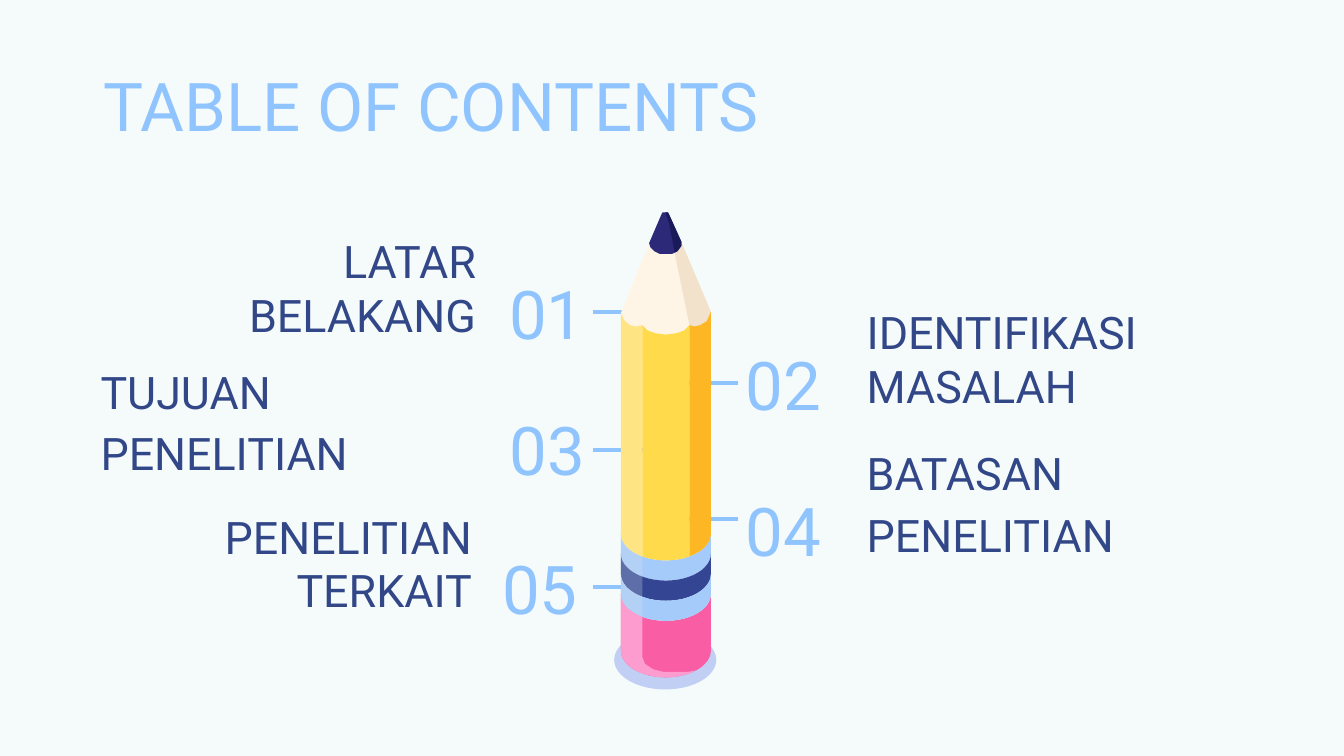
"""Build a table of contents slide with five topics around a pencil."""
import math

import pptx
import pptx.dml.color
import pptx.enum.shapes
import pptx.enum.text
import pptx.oxml
import pptx.oxml.ns
import pptx.util

Inches = pptx.util.Inches
ANCHOR = pptx.enum.text.MSO_ANCHOR
ALIGN = pptx.enum.text.PP_ALIGN
SKY, NAVY = "90C4FE", "324788"
LEFT, RIGHT = 4.62, 5.29
MIDDLE, RADIUS = (LEFT + RIGHT) / 2, (RIGHT - LEFT) / 2
STRIPE_LEFT, STRIPE_RIGHT = 4.78, 5.13
SAG = 0.2
BARREL_END, BAND = 3.97, 0.15
BANDS_END = BARREL_END + 3 * BAND
ERASER_END = 4.84


def paint(target, color):
    target.solid()
    target.fore_color.rgb = pptx.dml.color.RGBColor.from_string(color)


def rim(start, end, side, steps=24):
    first, last = [math.acos(max(-1, min(1, (x - MIDDLE) / RADIUS))) for x in (start, end)]
    angles = [first + (last - first) * step / steps for step in range(steps + 1)]
    return [(MIDDLE + RADIUS * math.cos(a), side + SAG * math.sin(a)) for a in angles]


deck = pptx.Presentation()
deck.slide_width, deck.slide_height = Inches(10), Inches(10) * 9 // 16
page = deck.slides.add_slide(deck.slide_layouts[6])
paint(page.background.fill, "F5FBFB")

heading = {"size": 36, "color": SKY, "align": ALIGN.LEFT, "anchor": ANCHOR.TOP}
number = {**heading, "align": ALIGN.CENTER}
middle_number = {**number, "anchor": ANCHOR.MIDDLE}
topic = {"size": 24, "color": NAVY, "align": ALIGN.LEFT, "anchor": ANCHOR.BOTTOM}
right_topic = {**topic, "align": ALIGN.RIGHT}
spaced_topic = {**topic, "indent": 0.17, "spacing": 1.15}

texts = [
    ("TABLE OF CONTENTS", 0.67, 0.38, 5.21, heading),
    ("LATAR BELAKANG", 0.74, 2.01, 2.9, right_topic),
    ("01", 3.62, 1.93, 0.9, number),
    ("IDENTIFIKASI MASALAH", 6.35, 2.54, 3.44, topic),
    ("TUJUAN PENELITIAN", 0.48, 3.04, 3.24, spaced_topic),
    ("03", 3.5, 2.94, 1.15, number),
    ("BATASAN PENELITIAN", 6.18, 3.65, 3.61, spaced_topic),
    ("PENELITIAN TERKAIT", 0.41, 4.06, 3.2, right_topic),
    ("05 ", 3.56, 4.06, 1.04, middle_number),
    ("02", 5.31, 2.54, 1.04, middle_number),
    ("04", 5.31, 3.63, 1.04, middle_number),
]
for text, left, top, width, style in texts:
    box = page.shapes.add_textbox(Inches(left), Inches(top), Inches(width), Inches(0.63))
    frame = box.text_frame
    frame_format = {"word_wrap": True, "vertical_anchor": style["anchor"]}
    for side in ("left", "right", "top", "bottom"):
        frame_format["margin_" + side] = Inches(0.1)
    for name, value in frame_format.items():
        setattr(frame, name, value)
    para = frame.paragraphs[0]
    para_format = {"alignment": style["align"], "line_spacing": style.get("spacing", 1.0)}
    for name, value in para_format.items():
        setattr(para, name, value)
    if "indent" in style:
        properties = para._p.get_or_add_pPr()
        properties.set("marL", str(Inches(style["indent"])))
        properties.set("indent", "0")
    span = para.add_run()
    span.text = text
    for name, value in {"name": "Roboto", "size": pptx.util.Pt(style["size"])}.items():
        setattr(span.font, name, value)
    paint(span.font.fill, style["color"])

for start, end, height in [(4.41, 5.01, 2.32), (4.41, 5.01, 3.35), (4.41, 5.01, 4.37),
                           (4.9, 5.49, 2.85), (4.9, 5.49, 3.86)]:
    line = page.shapes.add_connector(
        pptx.enum.shapes.MSO_CONNECTOR.STRAIGHT,
        Inches(start), Inches(height), Inches(end), Inches(height))
    line.line.width = pptx.util.Pt(2.25)
    paint(line.line.fill, SKY)
    line._element.spPr.append(pptx.oxml.parse_xml(
        "<a:effectLst %s/>" % pptx.oxml.ns.nsdecls("a")))

pencil = page.shapes.add_group_shape()
base = pencil.shapes.add_shape(pptx.enum.shapes.MSO_SHAPE.OVAL,
                               Inches(4.57), Inches(4.69), Inches(0.76), Inches(0.44))
base.shadow.inherit = False
base.line.fill.background()
paint(base.fill, "C1CFF4")

wood = [(4.83, 1.81), (5.07, 1.81), (RIGHT, 2.32), (RIGHT, 2.61), (5.14, 2.66),
        (MIDDLE, 2.67), (4.77, 2.66), (LEFT, 2.61), (LEFT, 2.33)]
wood_shade = [(4.95, 1.58), (4.98, 1.6), (5.07, 1.8), (RIGHT, 2.32), (RIGHT, 2.47),
              (STRIPE_RIGHT, 2.47), (STRIPE_RIGHT, 2.42), (5.02, 1.88)]
tip = [(4.92, 1.6), (4.93, 1.58), (4.95, 1.58), (4.97, 1.58), (4.98, 1.6),
       (5.07, 1.8), (5.07, 1.83), (5.04, 1.87), (5, 1.89), (4.95, 1.89),
       (4.91, 1.89), (4.87, 1.87), (4.84, 1.84), (4.83, 1.81)]
tip_shade = [(4.95, 1.58), (4.97, 1.58), (4.98, 1.6), (5.07, 1.8), (5.07, 1.83),
             (5.04, 1.87), (5.02, 1.88), (4.98, 1.67)]
left_scallop = [(LEFT, 2.33), (4.65, 2.39), (4.69, 2.42), (4.73, 2.43), (STRIPE_LEFT, 2.42)]
right_scallop = [(STRIPE_RIGHT, 2.42), (5.17, 2.43), (5.21, 2.42), (5.26, 2.39), (RIGHT, 2.32)]
middle_scallop = [(STRIPE_LEFT, 2.42), (4.82, 2.46), (4.88, 2.48), (MIDDLE, 2.49),
                  (5.03, 2.48), (5.09, 2.46), (STRIPE_RIGHT, 2.42)]
eraser_light = (rim(LEFT, STRIPE_LEFT, BANDS_END)
                + [(STRIPE_LEFT, 4.89), (4.8, 4.94), (4.86, 4.98), (4.94, 5),
                   (5.03, 5), (5.11, 5)]
                + rim(5.18, LEFT, ERASER_END))
sheen = rim(LEFT, STRIPE_LEFT, BARREL_END) + rim(STRIPE_LEFT, LEFT, BANDS_END)

outlines = [
    (wood, "FFF5E6", 100),
    (wood_shade, "F2E2CC", 100),
    (rim(LEFT, RIGHT, BANDS_END) + rim(RIGHT, LEFT, ERASER_END), "F95DA4", 100),
]
for index, color in enumerate(["A5CBFA", "344593", "A5CBFA"]):
    top = BARREL_END + index * BAND
    outlines.append((rim(LEFT, RIGHT, top) + rim(RIGHT, LEFT, top + BAND), color, 100))
for scallop, color in [(left_scallop, "FFE484"), (right_scallop, "FDB724"),
                       (middle_scallop, "FFDB4C")]:
    outlines.append((scallop + rim(scallop[-1][0], scallop[0][0], BARREL_END), color, 100))
outlines += [
    (tip, "2D2979", 100),
    (tip_shade, "1A1A5B", 100),
    (sheen, "DAE6EA", 26),
    (eraser_light, "FD9CCF", 100),
]
for points, color, opacity in outlines:
    corners = [(Inches(x), Inches(y)) for x, y in points]
    builder = pencil.shapes.build_freeform(*corners[0])
    builder.add_line_segments(corners[1:], close=True)
    part = builder.convert_to_shape()
    part.shadow.inherit = False
    part.line.fill.background()
    paint(part.fill, color)
    if opacity < 100:
        tint = part._element.spPr.find(".//" + pptx.oxml.ns.qn("a:srgbClr"))
        tint.append(pptx.oxml.parse_xml('<a:alpha %s val="%d"/>' % (
            pptx.oxml.ns.nsdecls("a"), opacity * 1000)))

deck.save("out.pptx")
